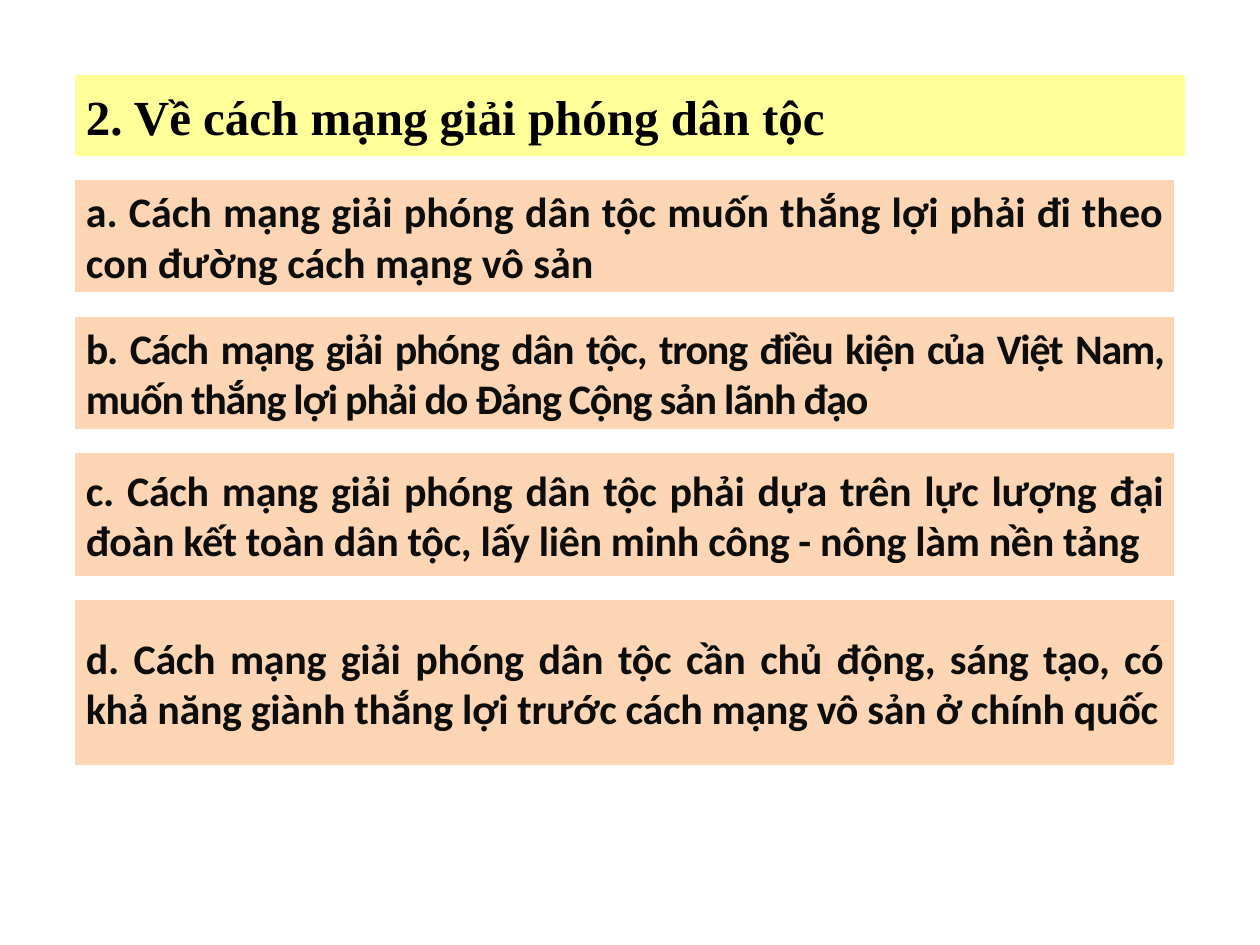
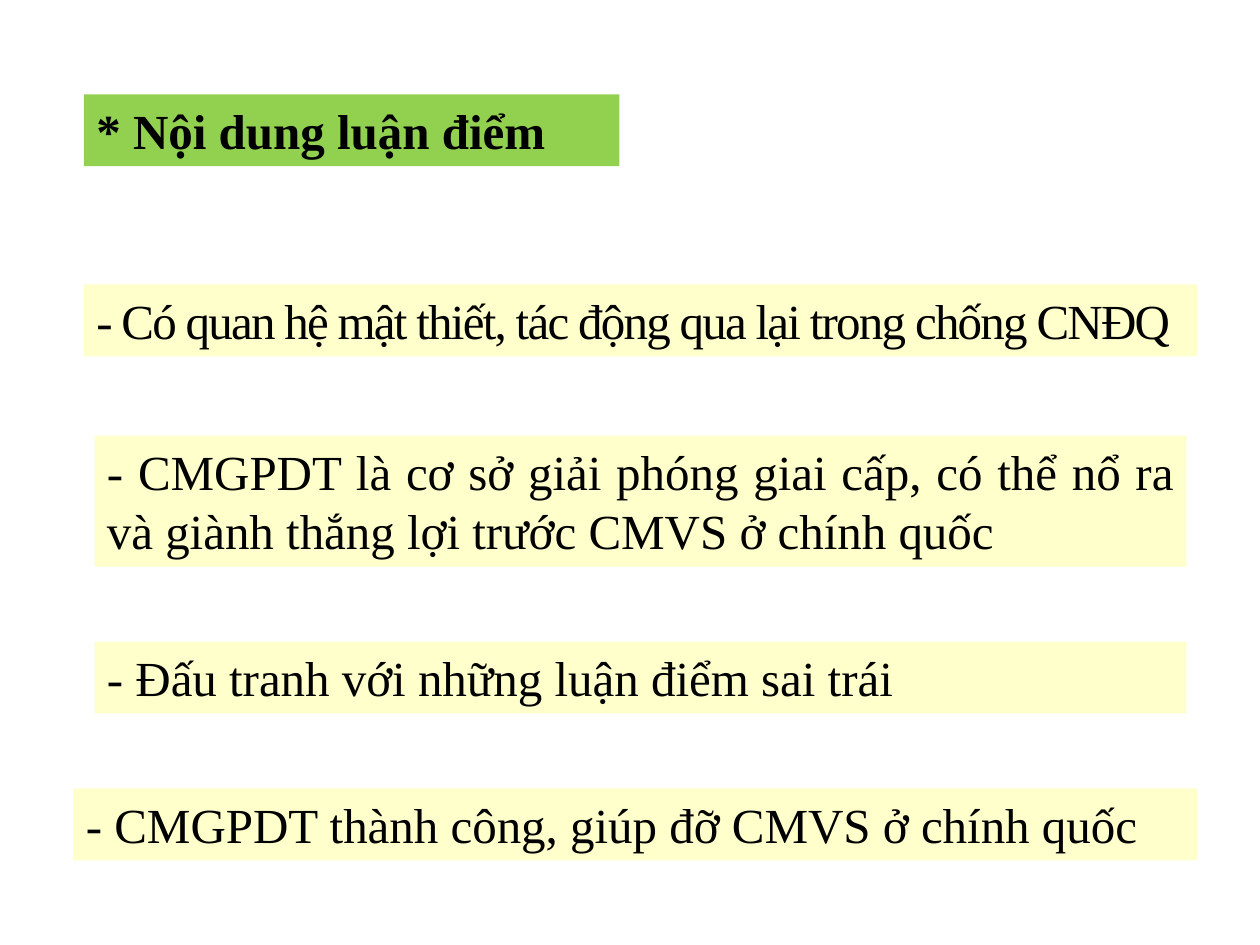
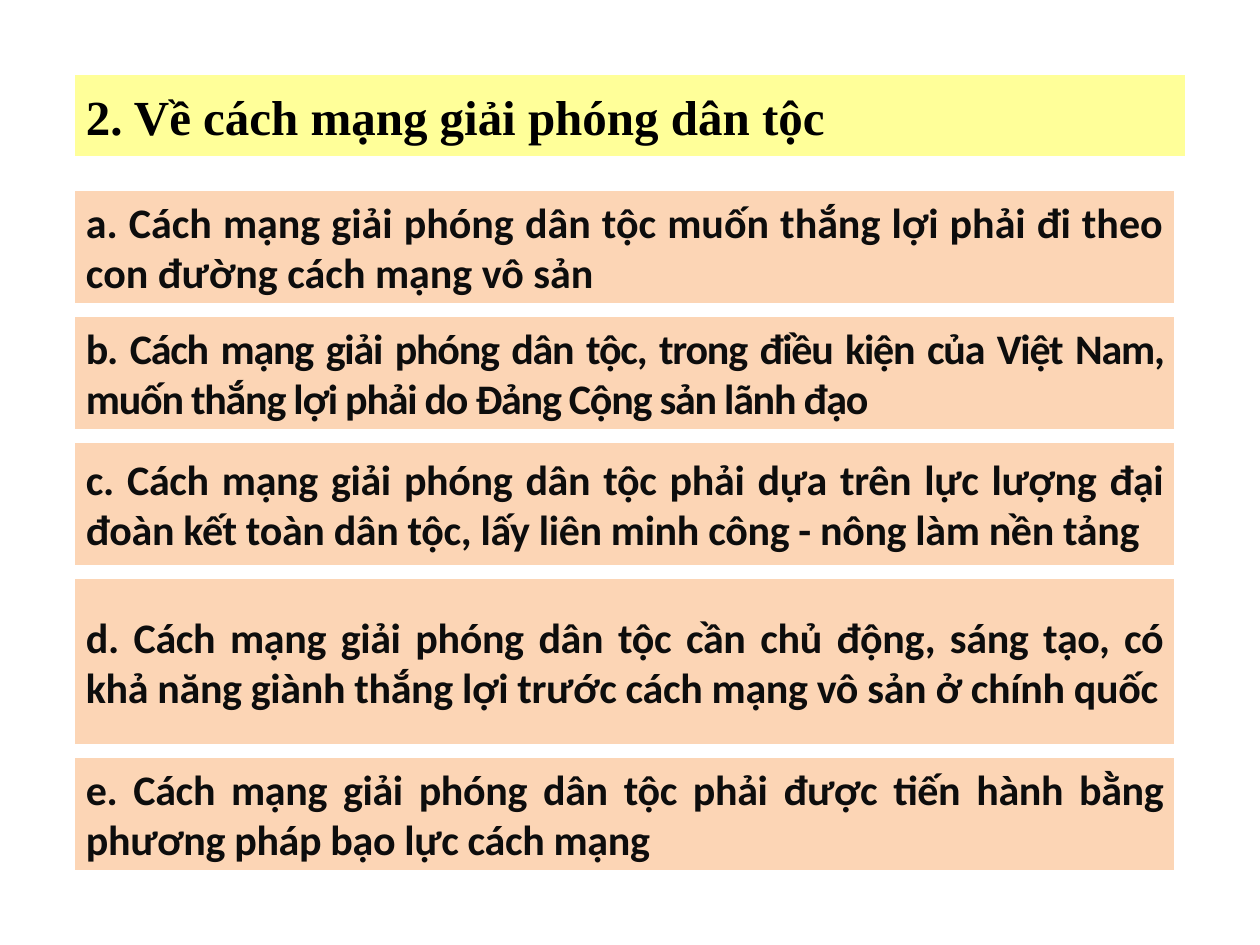
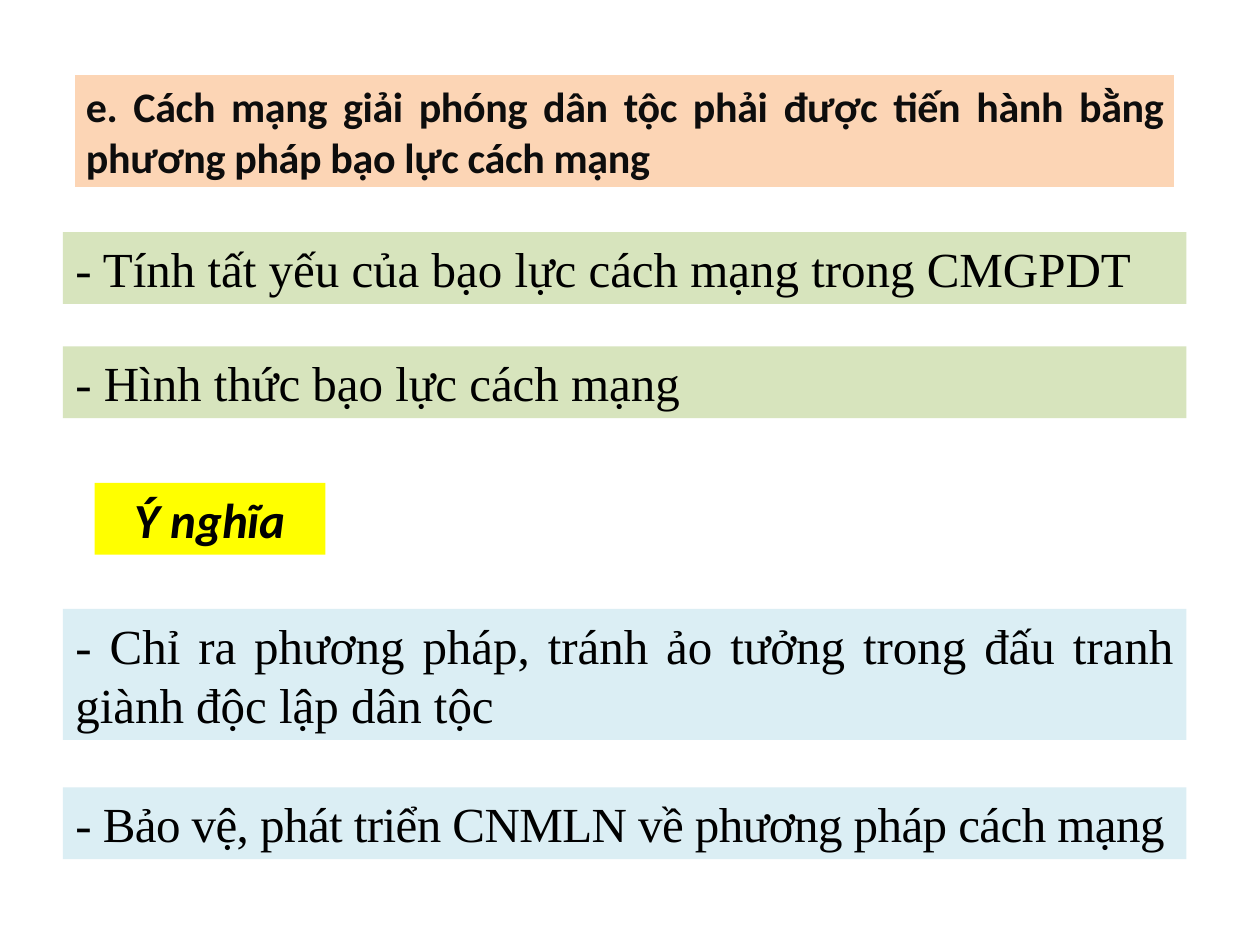
from dataclasses import dataclass
from pptx import Presentation
from pptx.dml.color import RGBColor
from pptx.enum.shapes import MSO_SHAPE
from pptx.enum.text import MSO_ANCHOR, MSO_AUTO_SIZE, PP_ALIGN
from pptx.util import Inches, Pt


@dataclass(frozen=True)
class Theme:
    serif: str = "Times New Roman"
    sans: str = "Calibri"
    large: int = 28
    medium: int = 24
    black: str = "000000"
    ink: str = "0D0D0D"
    white: str = "FFFFFF"
    title: str = "FFFF99"
    thesis: str = "FCD5B5"
    heading: str = "92D050"
    cream: str = "FFFFCC"
    green: str = "D7E4BD"
    blue: str = "DBEEF4"
    label: str = "FFFF00"
    border: int = 2


THEME = Theme()
WIDTH, HEIGHT = 10, 7.5
COLS, ROWS = 120, 90
LEFT, TOP = 7, 7
TITLE_COLS, TITLE_ROWS, THESIS_COLS = 106, 8, 105
LINE_HEIGHT, PADDING = 0.47, 0.1

LEFT_AL, JUSTIFY, CENTER = PP_ALIGN.LEFT, PP_ALIGN.JUSTIFY, PP_ALIGN.CENTER

TITLE = "2. Về cách mạng giải phóng dân tộc"

# text, rows, letter spacing
THESES = [
    ("a. Cách mạng giải phóng dân tộc muốn thắng lợi phải đi theo con đường cách mạng vô sản", 11, 0),
    ("b. Cách mạng giải phóng dân tộc, trong điều kiện của Việt Nam, muốn thắng lợi phải do Đảng Cộng sản lãnh đạo", 11, -0.7),
    ("c. Cách mạng giải phóng dân tộc phải dựa trên lực lượng đại đoàn kết toàn dân tộc, lấy liên minh công - nông làm nền tảng", 12, -0.2),
    ("d. Cách mạng giải phóng dân tộc cần chủ động, sáng tạo, có khả năng giành thắng lợi trước cách mạng vô sản ở chính quốc", 16, -0.2),
    ("e. Cách mạng giải phóng dân tộc phải được tiến hành bằng phương pháp bạo lực cách mạng", 11, -0.2),
]

CONTENT_HEADING = dict(text="* Nội dung luận điểm", col=8, row=9, cols=51,
                       fill=THEME.heading, align=LEFT_AL, bold=True)
CONTENT_POINTS = [
    dict(text="- Có quan hệ mật thiết, tác động qua lại trong chống CNĐQ",
         col=8, row=27.1, cols=106, spacing=-1),
    dict(text="- CMGPDT là cơ sở giải phóng giai cấp, có thể nổ ra và giành thắng lợi trước CMVS ở chính quốc",
         col=9, row=41.5, cols=104, lines=2),
    dict(text="- Đấu tranh với những luận điểm sai trái", col=9, row=61.1, cols=104),
    dict(text="- CMGPDT thành công, giúp đỡ CMVS ở chính quốc", col=7, row=75.1, cols=107),
]

VIOLENCE_POINTS = [
    dict(text="- Tính tất yếu của bạo lực cách mạng trong CMGPDT", row=22.1),
    dict(text="- Hình thức bạo lực cách mạng", row=33),
]
MEANING_LABEL = dict(text="Ý nghĩa", col=9, row=46, cols=22, fill=THEME.label,
                     align=CENTER, font=THEME.sans, bold=True, italic=True)
MEANING_POINTS = [
    dict(text="- Chỉ ra phương pháp, tránh ảo tưởng trong đấu tranh giành độc lập dân tộc",
         row=58, lines=2),
    dict(text="- Bảo vệ, phát triển CNMLN về phương pháp cách mạng", row=75, spacing=-0.3),
]


def add_box(slide, text, col, row, cols, rows, fill, align=JUSTIFY, font=THEME.serif,
            size=THEME.large, color=THEME.black, bold=False, italic=False, spacing=0):
    unit_x, unit_y = WIDTH / COLS, HEIGHT / ROWS
    sp = slide.shapes.add_shape(
        MSO_SHAPE.RECTANGLE, Inches(col * unit_x), Inches(row * unit_y),
        Inches(cols * unit_x), Inches(rows * unit_y))
    sp.shadow.inherit = False
    sp.fill.solid()
    sp.fill.fore_color.rgb = RGBColor.from_string(fill)
    sp.line.fill.background()
    tf = sp.text_frame
    tf.word_wrap = True
    tf.vertical_anchor = MSO_ANCHOR.MIDDLE
    p = tf.paragraphs[0]
    p.alignment = align
    p.font.name, p.font.size = font, Pt(size)
    p.font.bold, p.font.italic = bold, italic
    p.font.color.rgb = RGBColor.from_string(color)
    r = p.add_run()
    r.text = text
    if spacing:
        r._r.get_or_add_rPr().set("spc", str(round(spacing * 100)))
    return sp


def add_panel(slide, *args, **style):
    sp = add_box(slide, *args, **style)
    sp.line.color.rgb = RGBColor.from_string(THEME.white)
    sp.line.width = Pt(THEME.border)


def add_note(slide, lines=1, **style):
    rows = (lines * LINE_HEIGHT + PADDING) * ROWS / HEIGHT
    sp = add_box(slide, rows=rows, **style)
    sp.text_frame.vertical_anchor = MSO_ANCHOR.TOP
    sp.text_frame.auto_size = MSO_AUTO_SIZE.SHAPE_TO_FIT_TEXT


def add_theses(slide, theses, row, gap=0):
    for text, rows, spacing in theses:
        add_panel(slide, text, LEFT, row, THESIS_COLS, rows, THEME.thesis, font=THEME.sans,
                  size=THEME.medium, color=THEME.ink, bold=True, spacing=spacing)
        row += rows + gap


def new_slide(prs):
    return prs.slides.add_slide(prs.slide_layouts[6])


def build_outline(prs, theses, row, gap):
    slide = new_slide(prs)
    add_panel(slide, TITLE, LEFT, TOP, TITLE_COLS, TITLE_ROWS, THEME.title, bold=True)
    add_theses(slide, theses, row, gap)


def build_content(prs):
    slide = new_slide(prs)
    add_note(slide, **CONTENT_HEADING)
    for point in CONTENT_POINTS:
        add_note(slide, fill=THEME.cream, **point)


def build_violence(prs):
    slide = new_slide(prs)
    add_theses(slide, THESES[-1:], TOP)
    for point in VIOLENCE_POINTS:
        add_note(slide, col=6, cols=107, fill=THEME.green, align=LEFT_AL, **point)
    add_note(slide, **MEANING_LABEL)
    for point in MEANING_POINTS:
        add_note(slide, col=6, cols=107, fill=THEME.blue, **point)


def main():
    prs = Presentation()
    prs.slide_width, prs.slide_height = Inches(WIDTH), Inches(HEIGHT)
    build_outline(prs, THESES[:4], row=17, gap=2)
    build_content(prs)
    build_outline(prs, THESES, row=18, gap=1)
    build_violence(prs)
    prs.save("out.pptx")


if __name__ == "__main__":
    main()
